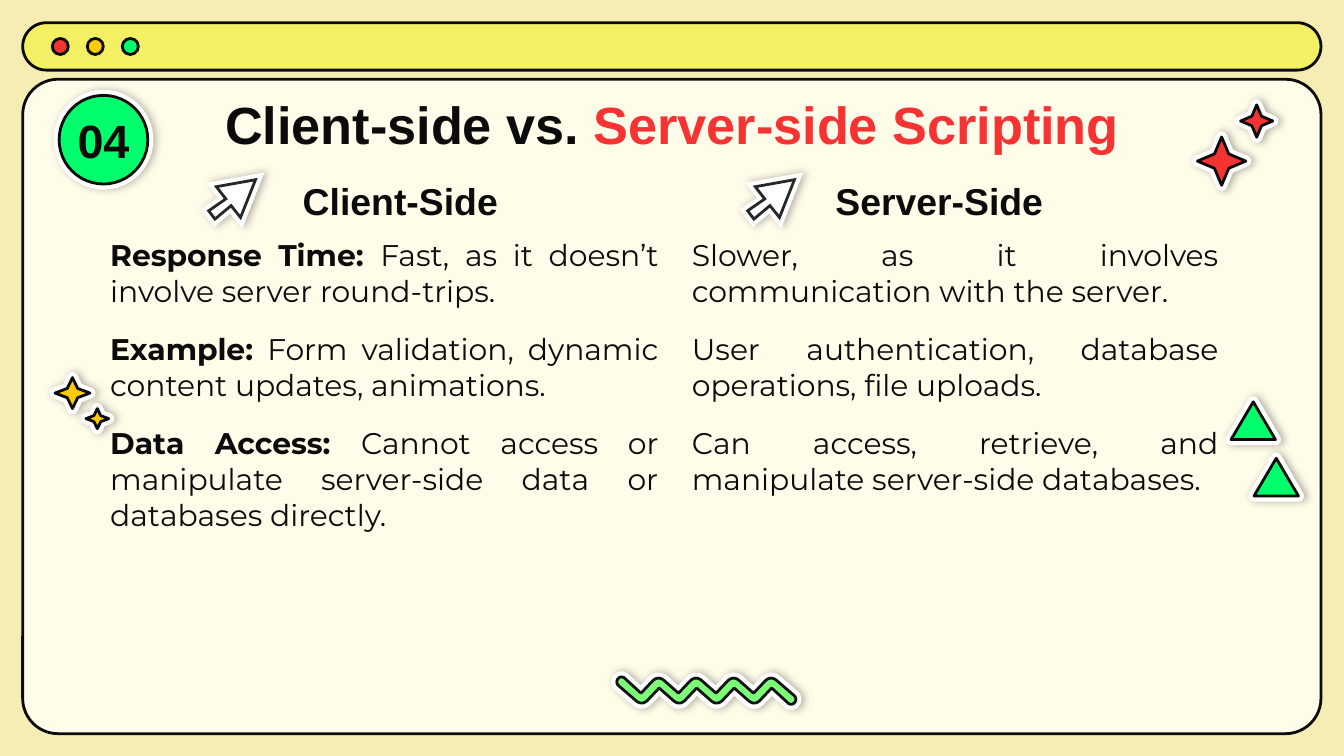
from lxml import etree
from pptx import Presentation
from pptx import util as u
from pptx.dml.color import RGBColor
from pptx.enum import shapes, text
from pptx.oxml.ns import qn

Pt = u.Pt
KIND = shapes.MSO_SHAPE
ALIGN = text.PP_ALIGN
ANCHOR = text.MSO_ANCHOR

INK, WHITE, RED, YELLOW, GREEN = "0B0B0B", "FFFFFF", "F53333", "FFCC00", "00FF6C"

TITLE = [("Client-side vs. ", INK, True), ("Server-side Scripting", RED, True)]
NUMBER = "04"
HEADINGS = ["Client-Side", "Server-Side"]
CLIENT = [
    ("Response Time: ", "Fast, as it doesn’t involve server round-trips."),
    ("Example:", " Form validation, dynamic content updates, animations."),
    ("Data Access: ", "Cannot access or manipulate server-side data or databases directly."),
]
SERVER = [
    "Slower, as it involves communication with the server.",
    "User authentication, database operations, file uploads.",
    "Can access, retrieve, and manipulate server-side databases.",
]

# Lengths in points: left, top, width, height
WINDOW = [((12.2, 42.5, 695.5, 350.6), 0.054, "FFFCEA"),
          ((12.2, 12.2, 695.5, 25.4), 0.5, "F3F064")]
BUTTONS = [RED, YELLOW, GREEN]
COLUMN_PITCH = 288.7
BADGE = (31.7, 51.1, 47.5, 47.5)
STICKERS = [
    (KIND.ISOSCELES_TRIANGLE, 0.5, GREEN,
     [(659.5, 215.3, 23.8, 20.2), (671.8, 245.5, 23.8, 20.2)]),
    (KIND.STAR_4_POINT, 0.21, YELLOW,
     [(29.5, 202.3, 18.7, 16.6), (46.1, 218.9, 12.2, 10.8)]),
    (KIND.STAR_4_POINT, 0.21, RED,
     [(641.5, 73.4, 25.9, 25.9), (664.6, 56.2, 17.3, 17.3)]),
]
ARROW = [(123.8, 110.2), (128.9, 116.6), (136.9, 96.3), (115.9, 100.1),
         (121, 106.6), (111.8, 113), (115.2, 117.4)]
ZIGZAG_CENTER = (378.4, 370)


def color(value):
    return RGBColor.from_string(value)


def paint(shape, fill, line=INK, width=1.5):
    shape.shadow.inherit = False
    shape.fill.solid()
    shape.fill.fore_color.rgb = color(fill)
    shape.line.color.rgb = color(line)
    shape.line.width = Pt(width)


def add_preset(parent, kind, box, adjustment=None):
    shape = parent.add_shape(kind, *map(Pt, box))
    if adjustment is not None:
        shape.adjustments[0] = adjustment
    return shape


def add_outline(parent, points, join):
    """Add a closed polygon whose line corners are 'miter' or 'round'."""
    points = [(Pt(x), Pt(y)) for x, y in points]
    builder = parent.build_freeform(*points[0], scale=1.0)
    builder.add_line_segments(points[1:], close=True)
    shape = builder.convert_to_shape()
    corner = etree.SubElement(shape.line._get_or_add_ln(), qn("a:" + join))
    if join == "miter":
        corner.set("lim", "800000")
    return shape


def add_sticker(group, draw, fill, line=INK, alpha=29):
    """Draw a shape twice: a white halo with a soft shadow, then the shape."""
    halo = draw(group.shapes)
    paint(halo, WHITE, WHITE, 6)
    effects = halo._element.spPr.find(qn("a:effectLst"))
    shadow = etree.SubElement(effects, qn("a:outerShdw"), blurRad=str(Pt(4.5)),
                              dist=str(Pt(1.5)), dir="0", rotWithShape="0")
    black = etree.SubElement(shadow, qn("a:srgbClr"), val="000000")
    etree.SubElement(black, qn("a:alpha"), val=str(alpha * 1000))
    paint(draw(group.shapes), fill, line)


def add_text(parent, box, paragraphs, size, font="Arial", align=ALIGN.CENTER,
             anchor=ANCHOR.TOP, after=0):
    """Add a text box; each paragraph is a list of (words, colour, bold)."""
    frame = parent.add_textbox(*map(Pt, box)).text_frame
    frame.word_wrap = True
    frame.vertical_anchor = anchor
    frame.margin_left = frame.margin_right = Pt(7.2)
    frame.margin_top = frame.margin_bottom = Pt(7.2)
    for index, spans in enumerate(paragraphs):
        para = frame.paragraphs[0] if index == 0 else frame.add_paragraph()
        para.alignment = align
        para.space_after = Pt(after)
        para.font.size = Pt(size)
        para.font.name = font
        for words, ink, bold in spans:
            span = para.add_run()
            span.text = words
            span.font.color.rgb = color(ink)
            span.font.bold = bold


def curve(a, b, c, d, steps=6):
    """Points along a cubic Bezier curve."""
    result = []
    for step in range(steps + 1):
        t = step / steps
        s = 1 - t
        result.append(tuple(s**3 * p + 3 * s * s * t * q + 3 * s * t * t * r + t**3 * v
                            for p, q, r, v in zip(a, b, c, d)))
    return result


def zigzag_points():
    """The upper edge, then the same edge turned half round the centre."""
    half = curve((-47.2, -2.8), (-48.2, -3.8), (-48.2, -5.6), (-47.2, -6.5))
    half += curve((-47.2, -6.5), (-46.2, -7.6), (-44.6, -7.6), (-43.6, -6.5))
    for wave in range(4):
        x = -35 + 20.1 * wave
        half.append((x, 1.4))
        half += curve((x + 6.5, -5.5), (x + 8.6, -7.1), (x + 10.2, -7.1), (x + 12.3, -5.5))
    cx, cy = ZIGZAG_CENTER
    return [(cx + sign * x, cy + sign * y) for sign in (1, -1) for x, y in half]


def main():
    deck = Presentation()
    deck.slide_width, deck.slide_height = Pt(720), Pt(405)
    page = deck.slides.add_slide(deck.slide_layouts[6])
    page.background.fill.solid()
    page.background.fill.fore_color.rgb = color("F5EDB3")
    canvas = page.shapes

    for box, radius, fill in WINDOW:
        paint(add_preset(canvas, KIND.ROUNDED_RECTANGLE, box, radius), fill)
    for index, fill in enumerate(BUTTONS):
        paint(add_preset(canvas, KIND.OVAL, (28 + 18.75 * index, 20.6, 8.6, 8.6)), fill)

    add_text(canvas, (56.9, 42.5, 606.2, 45.4), [TITLE], 28)
    client = [[(label, INK, True), (words, INK, False)] for label, words in CLIENT]
    server = [[(words, INK, False)] for words in SERVER]
    for box, paragraphs in (((52, 119.5, 308, 234), client),
                            ((363.6, 119.5, 296.4, 242.6), server)):
        add_text(canvas, box, paragraphs, 16, "Montserrat", ALIGN.JUSTIFY, after=12)

    for index, heading in enumerate(HEADINGS):
        shift = COLUMN_PITCH * index
        add_text(canvas, (98.6 + shift, 92.9, 231.8, 33.8), [[(heading, INK, True)]], 20,
                 anchor=ANCHOR.BOTTOM)
        points = [(x + shift, y) for x, y in ARROW]
        add_sticker(canvas.add_group_shape(),
                    lambda parent: add_outline(parent, points, "miter"), WHITE, "272727")

    for kind, adjustment, fill, boxes in STICKERS:
        group = canvas.add_group_shape()
        for box in boxes:
            add_sticker(group, lambda parent: add_preset(parent, kind, box, adjustment), fill)

    wave = zigzag_points()
    add_sticker(canvas.add_group_shape(),
                lambda parent: add_outline(parent, wave, "round"), "7CFF76", "131313")

    badge = canvas.add_group_shape()
    add_sticker(badge, lambda parent: add_preset(parent, KIND.OVAL, BADGE), GREEN, alpha=26)
    add_text(badge.shapes, (31.7, 56.2, 47.5, 37.4), [[(NUMBER, INK, True)]], 25,
             anchor=ANCHOR.MIDDLE)

    deck.save("out.pptx")


if __name__ == "__main__":
    main()
